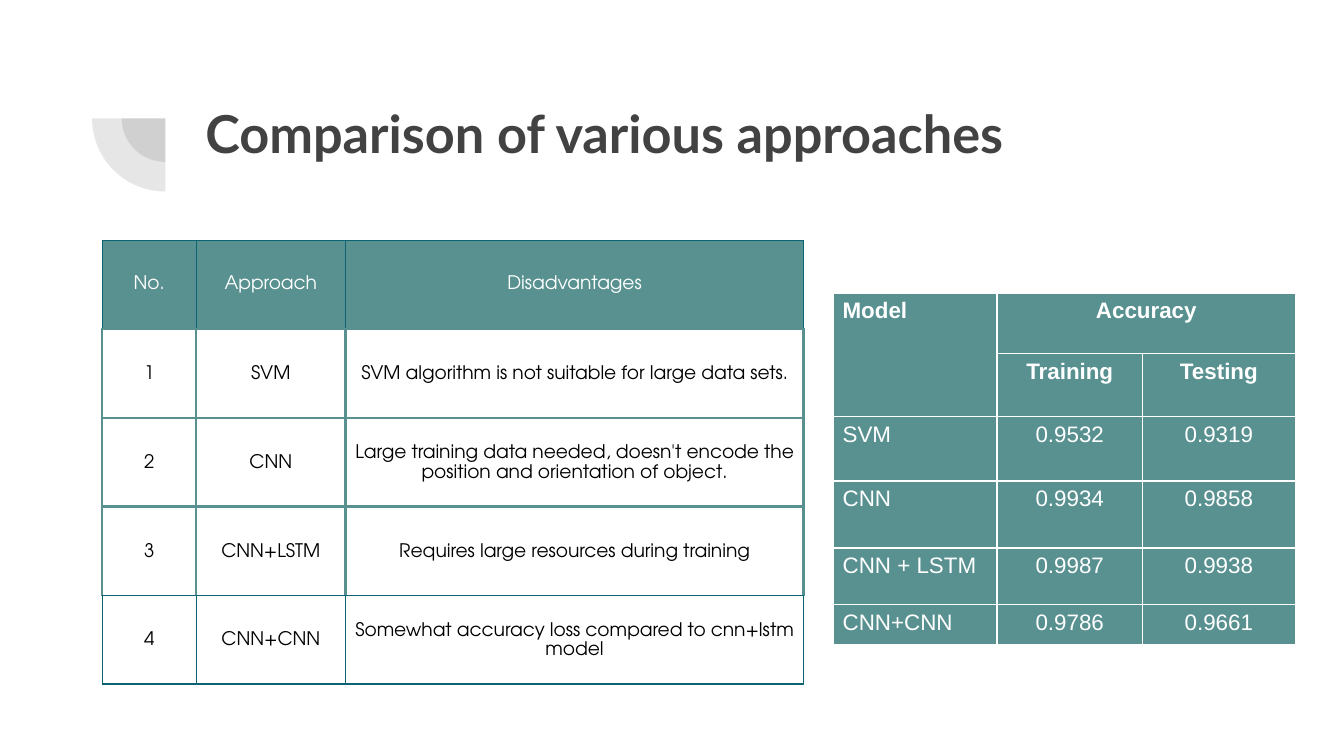
from lxml import etree
from pptx import Presentation
from pptx.dml.color import RGBColor
from pptx.enum.shapes import MSO_SHAPE
from pptx.enum.text import MSO_ANCHOR, PP_ALIGN
from pptx.oxml.ns import qn
from pptx.util import Inches, Pt

PIE = MSO_SHAPE.PIE
TOP, MIDDLE = MSO_ANCHOR.TOP, MSO_ANCHOR.MIDDLE
CENTER, JUSTIFY = PP_ALIGN.CENTER, PP_ALIGN.JUSTIFY
TEAL, DEEP_TEAL, GRAY, WHITE, BLACK = "599191", "0B6374", "424242", "FFFFFF", "000000"
THICK, THIN, GRID = (TEAL, 1.5), (DEEP_TEAL, 0.75), (WHITE, 1)

APPROACHES = [
    ["No.", "Approach", "Disadvantages"],
    ["1", "SVM", "SVM algorithm is not suitable for large data sets."],
    ["2", "CNN", "Large training data needed, doesn't encode the position and orientation of object."],
    ["3", "CNN+LSTM", "Requires large resources during training"],
    ["4", "CNN+CNN", "Somewhat accuracy loss compared to cnn+lstm model"],
]
ACCURACY = [
    ["Model", "Accuracy", ""],
    ["", "Training", "Testing"],
    ["SVM", "0.9532", "0.9319"],
    ["CNN", "0.9934", "0.9858"],
    ["CNN + LSTM", "0.9987", "0.9938"],
    ["CNN+CNN", "0.9786", "0.9661"],
]


def color(value):
    return RGBColor.from_string(value)


def set_values(target, values):
    for name, value in values.items():
        setattr(target, name, value)


def write(frame, text, font_color, font_format, para_format):
    para = frame.paragraphs[0]
    set_values(para, para_format)
    span = para.add_run()
    span.text = text
    set_values(span.font, font_format)
    span.font.color.rgb = color(font_color)


def set_borders(cell, borders):
    properties = cell._tc.get_or_add_tcPr()
    for side in "LRTB":
        line_color, width = borders[side]
        line = etree.SubElement(properties, qn(f"a:ln{side}"), w=str(Pt(width)))
        fill = etree.SubElement(line, qn("a:solidFill"))
        etree.SubElement(fill, qn("a:srgbClr"), val=line_color)


def add_grid(page, box, widths, heights):
    table = page.shapes.add_table(len(heights), len(widths), *map(Inches, box)).table
    set_values(table, {"first_row": False, "horz_banding": False})
    for column, width in zip(table.columns, widths):
        column.width = Inches(width)
    for row, height in zip(table.rows, heights):
        row.height = Inches(height)
    return table


def format_cell(cell, borders, fill, inset, anchor):
    set_borders(cell, borders)
    if fill:
        cell.fill.solid()
        cell.fill.fore_color.rgb = color(fill)
    else:
        cell.fill.background()
    across, down = map(Inches, inset)
    set_values(cell, {"margin_left": across, "margin_right": across,
                      "margin_top": down, "margin_bottom": down,
                      "vertical_anchor": anchor})


def add_quarter_rings(page, center_x, center_y):
    for size in (0.65, 1.09):
        left, top = center_x - size / 2, center_y - size / 2
        pie = page.shapes.add_shape(PIE, *map(Inches, (left, top, size, size)))
        pie.adjustments[0], pie.adjustments[1] = 108, 162
        pie.rotation = 270
        pie.shadow.inherit = False
        pie.line.fill.background()
        pie.fill.solid()
        pie.fill.fore_color.rgb = color(GRAY)
        tone = pie._element.spPr.find(qn("a:solidFill"))[0]
        etree.SubElement(tone, qn("a:alpha"), val="13000")


def add_title(page, box):
    frame = page.shapes.add_textbox(*map(Inches, box)).text_frame
    margins = {f"margin_{side}": Inches(0.1) for side in ("left", "right", "top", "bottom")}
    set_values(frame, {"word_wrap": True, "vertical_anchor": TOP, **margins})
    write(frame, "Comparison of various approaches", GRAY,
          {"name": "Lato", "size": Pt(28), "bold": True}, {})


def add_approach_table(page, box):
    table = add_grid(page, box, [0.7, 1.11, 3.41], [box[3] / len(APPROACHES)] * len(APPROACHES))
    last = len(APPROACHES) - 1
    for r, row in enumerate(APPROACHES):
        header = r == 0
        sides = THIN if r in (0, last) else THICK
        borders = {"L": sides, "R": sides, "T": sides,
                   "B": THIN if r >= last - 1 else THICK}
        for c, text in enumerate(row):
            cell = table.cell(r, c)
            format_cell(cell, borders, TEAL if header else None, (0.03, 0.02), MIDDLE)
            write(cell.text_frame, text, WHITE if header else BLACK,
                  {"name": "TeX Gyre Adventor", "size": Pt(10), "bold": False},
                  {"alignment": CENTER, "line_spacing": 1.0 if header else 1.15})


def add_accuracy_table(page, box):
    table = add_grid(page, box, [1.22, 1.08, 1.14], [0.45, 0.47, 0.48, 0.5, 0.42, 0.3])
    table.cell(0, 0).merge(table.cell(1, 0))
    table.cell(0, 1).merge(table.cell(0, 2))
    for r, row in enumerate(ACCURACY):
        for c, text in enumerate(row):
            cell = table.cell(r, c)
            format_cell(cell, dict.fromkeys("LRTB", GRID), TEAL, (0.07, 0.04), TOP)
            if text:
                write(cell.text_frame, text, WHITE,
                      {"name": "Arial", "size": Pt(12), "bold": r < 2},
                      {"alignment": CENTER if c else JUSTIFY})


def main():
    deck = Presentation()
    width = Inches(10)
    set_values(deck, {"slide_width": width, "slide_height": width * 9 // 16})
    page = deck.slides.add_slide(deck.slide_layouts[6])
    add_quarter_rings(page, 1.23, 0.88)
    add_accuracy_table(page, (6.2, 2.18, 3.45, 2.62))
    add_title(page, (1.43, 0.65, 7.28, 1.25))
    add_approach_table(page, (0.76, 1.79, 5.22, 3.3))
    deck.save("out.pptx")


if __name__ == "__main__":
    main()
